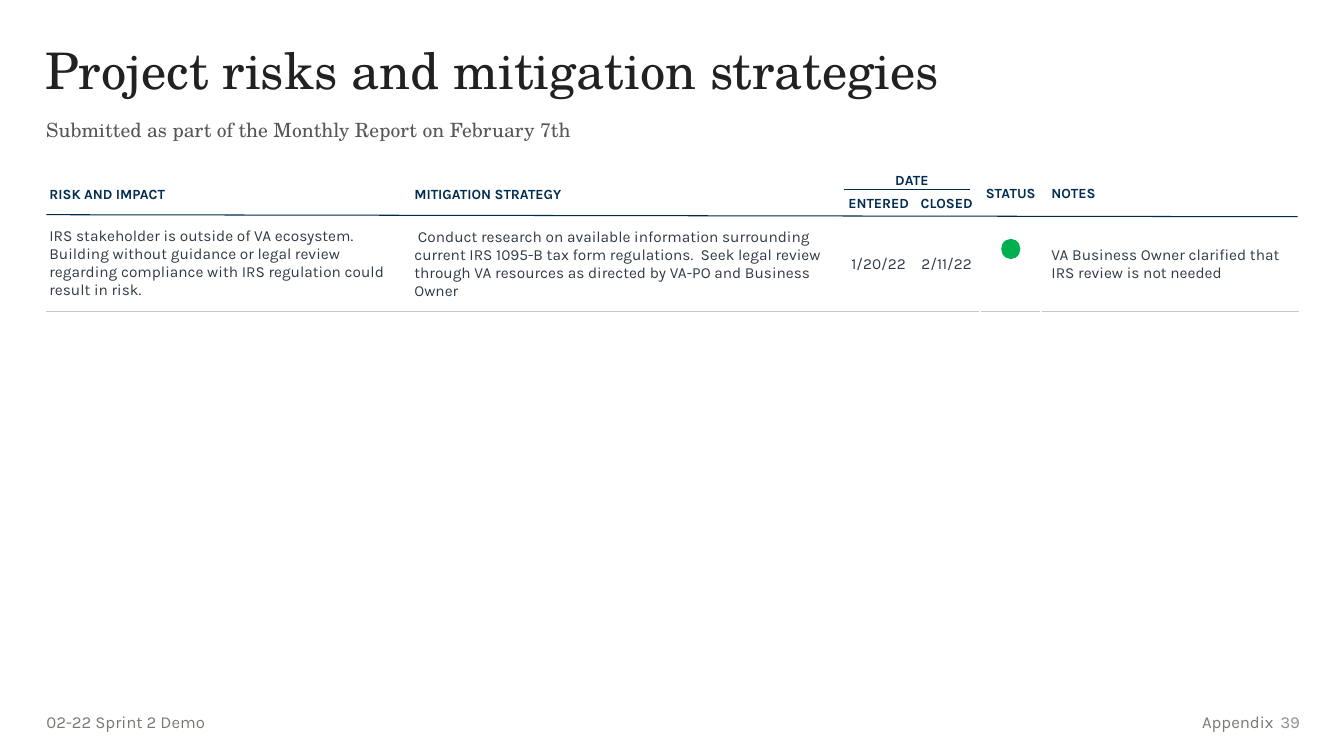
from lxml import etree
from pptx import Presentation
from pptx.dml.color import RGBColor
from pptx.enum.shapes import MSO_CONNECTOR, MSO_SHAPE
from pptx.enum.text import MSO_ANCHOR as ANCHOR, MSO_AUTO_SIZE as FIT, PP_ALIGN as ALIGN
from pptx.oxml import parse_xml
from pptx.oxml.ns import nsdecls, qn
from pptx.util import Inches, Pt

WHITE = RGBColor(0xFF, 0xFF, 0xFF)
INK = RGBColor(0x20, 0x21, 0x20)
SUBTITLE_GREY = RGBColor(0x57, 0x57, 0x57)
FOOTER_GREY = RGBColor(0x74, 0x7C, 0x74)
NUMBER_GREY = RGBColor(0x8F, 0x8F, 0x8F)
NAVY = RGBColor(0x02, 0x2D, 0x50)
RULE_NAVY = RGBColor(0x00, 0x2B, 0x4F)
SLATE = RGBColor(0x30, 0x3A, 0x46)
ROW_GREY = RGBColor(0xC7, 0xC7, 0xC7)
GREEN = RGBColor(0x00, 0xB0, 0x50)
SERIF, SANS = "TeX Gyre Schola", "Karla"


class SlideBuilder:
    def __init__(self, prs):
        self.slide = prs.slides.add_slide(prs.slide_layouts[5])

    def set_text(self, tf, text, size, color, font=SANS, bold=False, align=ALIGN.LEFT,
                 spacing=None):
        tf.text = text
        p = tf.paragraphs[0]
        p.alignment = align
        p.line_spacing = spacing
        for r in p.runs:
            r.font.name, r.font.size, r.font.bold = font, Pt(size), bold
            r.font.color.rgb = color

    def title(self, text, left, top, width, height):
        sp = self.slide.shapes.title
        sp.left, sp.top, sp.width, sp.height = map(Inches, (left, top, width, height))
        tf = sp.text_frame
        tf.auto_size, tf.vertical_anchor = FIT.NONE, ANCHOR.TOP
        self.set_text(tf, text, 36, INK, SERIF, spacing=0.9)

    def text(self, text, left, top, width, height, size, color, font=SANS, align=ALIGN.LEFT,
             inset=0.1):
        box = self.slide.shapes.add_textbox(*map(Inches, (left, top, width, height)))
        tf = box.text_frame
        tf.word_wrap, tf.auto_size = True, FIT.SHAPE_TO_FIT_TEXT
        tf.margin_left = Inches(inset)
        self.set_text(tf, text, size, color, font, align=align)

    def table(self, left, top, widths, heights):
        frame = self.slide.shapes.add_table(
            len(heights), len(widths),
            *map(Inches, (left, top, sum(widths), sum(heights))))
        table = frame.table
        table.first_row = table.horz_banding = False
        for column, width in zip(table.columns, widths):
            column.width = Inches(width)
        for row, height in zip(table.rows, heights):
            row.height = Inches(height)
        for cell in table.iter_cells():
            cell.fill.solid()
            cell.fill.fore_color.rgb = WHITE
        return table

    def cell(self, cell, text, margins, size, color, bold=False, align=ALIGN.LEFT,
             anchor=ANCHOR.MIDDLE, spacing=None):
        (cell.margin_left, cell.margin_top,
         cell.margin_right, cell.margin_bottom) = map(Inches, margins)
        cell.vertical_anchor = anchor
        self.set_text(cell.text_frame, text, size, color, bold=bold, align=align,
                      spacing=spacing)

    def borders(self, cell, **sides):
        tc_pr = cell._tc.get_or_add_tcPr()
        ordered = [side for side in "LRTB" if side in sides]
        for index, side in enumerate(ordered):
            color, width = sides[side]
            ln = parse_xml(f'<a:ln{side} {nsdecls("a")} w="{Pt(width)}"><a:solidFill>'
                           f'<a:srgbClr val="{color}"/></a:solidFill></a:ln{side}>')
            tc_pr.insert(index, ln)

    def line(self, x1, y1, x2, y2):
        line = self.slide.shapes.add_connector(
            MSO_CONNECTOR.STRAIGHT, *map(Inches, (x1, y1, x2, y2)))
        line.line.color.rgb = RULE_NAVY
        line.line.width = Pt(0.75)
        etree.SubElement(line._element.spPr, qn("a:effectLst"))

    def dot(self, left, top, width, height, color):
        sp = self.slide.shapes.add_shape(
            MSO_SHAPE.OVAL, *map(Inches, (left, top, width, height)))
        sp.shadow.inherit = False
        sp.fill.solid()
        sp.fill.fore_color.rgb = color
        sp.line.fill.background()


def add_risk_table(s):
    table = s.table(0.46, 1.68, [3.62, 4.29, 0.69, 0.66, 0.61, 2.55], [0.22, 0.22, 0.43])
    for col in (0, 1, 4, 5):
        table.cell(0, col).merge(table.cell(1, col))
    table.cell(0, 2).merge(table.cell(0, 3))

    middle, top = ANCHOR.MIDDLE, ANCHOR.TOP
    left, center = ALIGN.LEFT, ALIGN.CENTER
    headers = [
        (0, 0, "RISK AND IMPACT", 0.03, 0.1, left, middle, 1.15),
        (0, 1, "MITIGATION STRATEGY", 0.03, 0.03, left, middle, 1.15),
        (0, 2, "DATE", 0.03, 0.03, center, top, None),
        (1, 2, "ENTERED", 0.03, 0.03, center, top, None),
        (1, 3, "CLOSED", 0.03, 0.03, center, top, None),
        (0, 4, "STATUS", 0.03, 0.03, center, middle, None),
        (0, 5, "NOTES", 0.1, 0.03, left, middle, None),
    ]
    for row, col, text, inset_l, inset_r, align, anchor, spacing in headers:
        s.cell(table.cell(row, col), text, (inset_l, 0.03, inset_r, 0.03), 10, NAVY, True,
               align, anchor, spacing)

    risk = [
        (0, "IRS stakeholder is outside of VA ecosystem.  Building without guidance or legal "
            "review regarding compliance with IRS regulation could result in risk.",
         0.03, 0.2, left, top),
        (1, " Conduct research on available information surrounding current IRS 1095-B tax "
            "form regulations.  Seek legal review through VA resources as directed by VA-PO "
            "and Business Owner", 0.03, 0.2, left, middle),
        (2, "1/20/22", 0.03, 0.03, center, middle),
        (3, "2/11/22", 0.03, 0.03, center, middle),
        (5, "VA Business Owner clarified that IRS review is not needed",
         0.1, 0.03, left, middle),
    ]
    for col, text, inset_l, inset_r, align, anchor in risk:
        s.cell(table.cell(2, col), text, (inset_l, 0.1, inset_r, 0.1), 11, SLATE,
               align=align, anchor=anchor)

    gap = (WHITE, 1.5)
    status_gaps = {3: {"R": gap}, 4: {"L": gap, "R": gap, "T": gap}, 5: {"L": gap}}
    for col in range(6):
        s.borders(table.cell(2, col), B=(ROW_GREY, 1), **status_gaps.get(col, {}))


def main():
    prs = Presentation()
    prs.slide_width, prs.slide_height = Inches(13.33), Inches(7.5)
    s = SlideBuilder(prs)
    s.title("Project risks and mitigation strategies", 0.35, 0.41, 12.42, 0.82)
    s.text("39", 12.6, 7.01, 0.44, 0.3, 12, NUMBER_GREY)
    s.text("Appendix", 9.75, 7.01, 2.98, 0.3, 12, FOOTER_GREY, align=ALIGN.RIGHT)
    s.text("02-22 Sprint 2 Demo", 0.46, 7.01, 2.98, 0.3, 12, FOOTER_GREY, inset=0)
    add_risk_table(s)
    s.text("Submitted as part of the Monthly Report on February 7th",
           0.36, 1.12, 6.82, 0.34, 14, SUBTITLE_GREY, SERIF)
    s.line(0.46, 2.13, 12.87, 2.15)
    s.line(8.37, 1.88, 9.62, 1.88)
    s.dot(9.93, 2.37, 0.19, 0.2, GREEN)
    prs.save("out.pptx")


if __name__ == "__main__":
    main()
